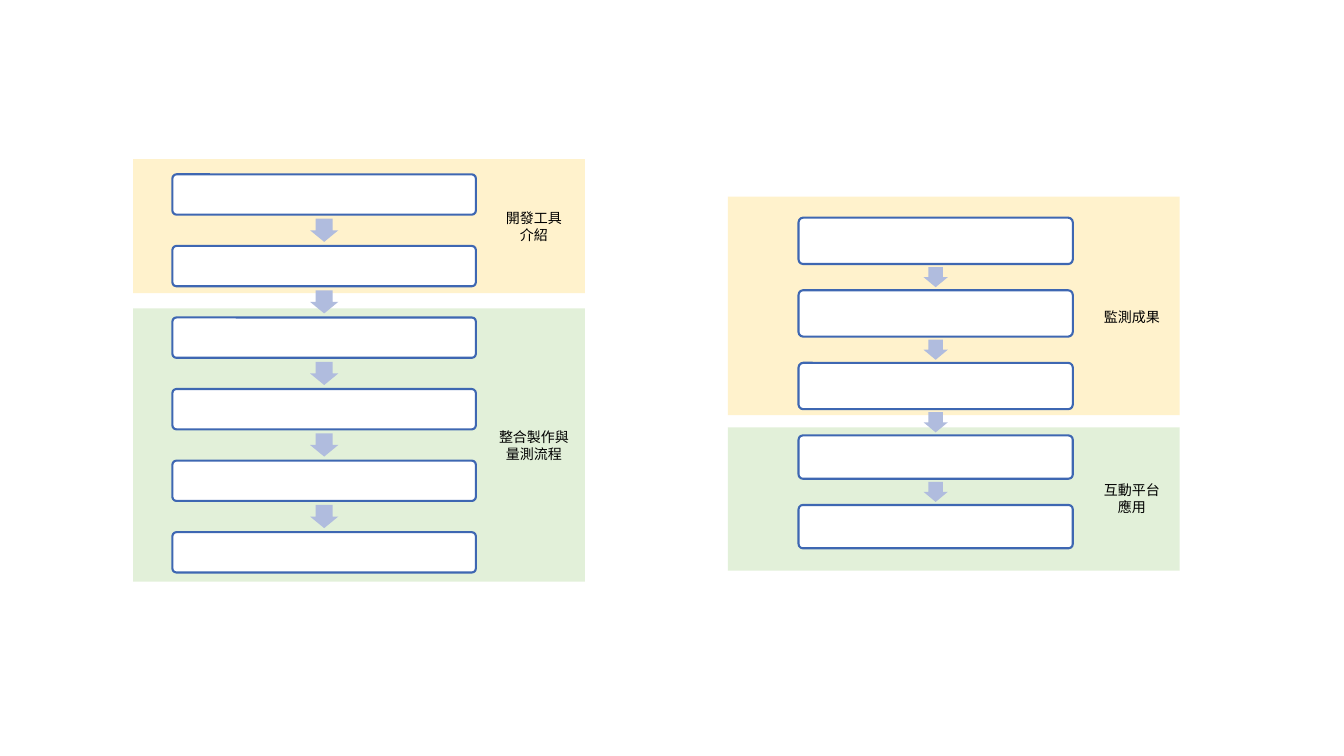
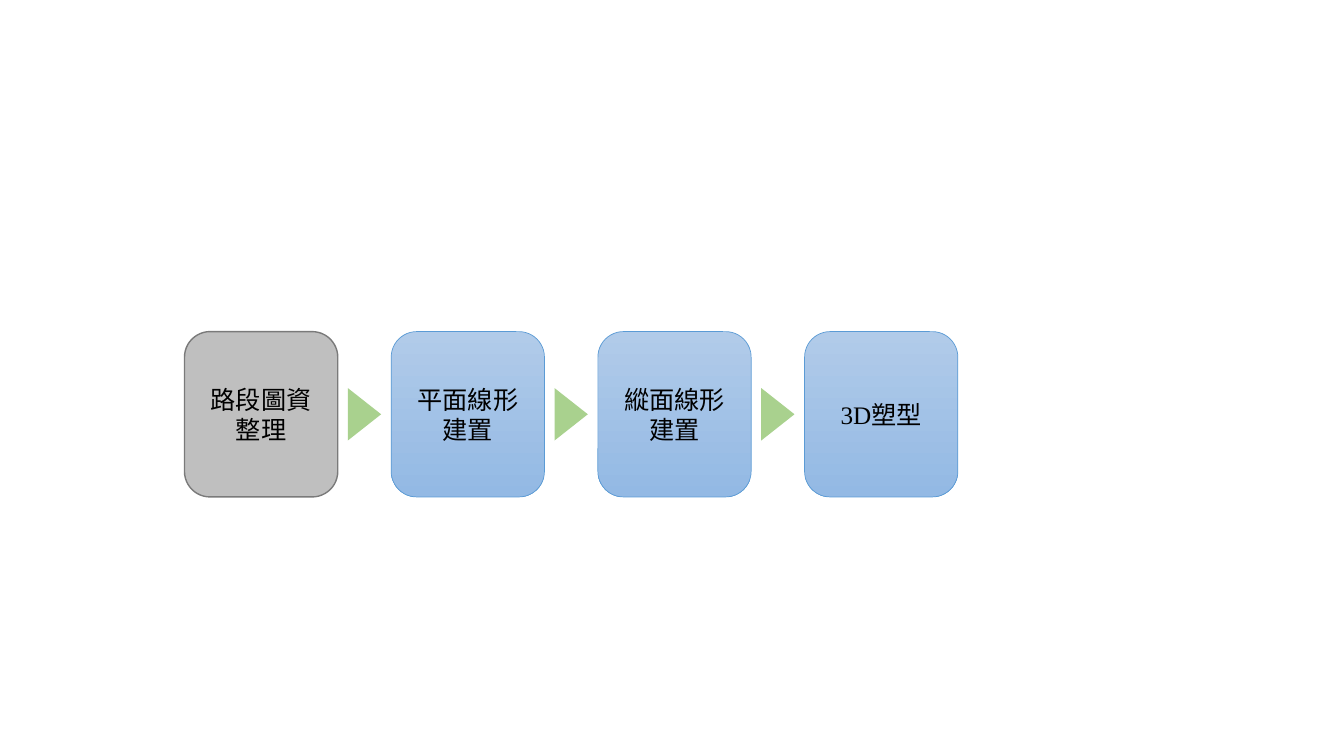
from pptx import Presentation
from pptx.dml.color import RGBColor
from pptx.enum.shapes import MSO_SHAPE as Kind
from pptx.enum.text import MSO_ANCHOR, PP_ALIGN
from pptx.oxml import parse_xml
from pptx.oxml.ns import nsdecls
from pptx.util import Inches, Pt

CJK, LATIN = "Noto Sans CJK SC", "Times New Roman"
BLACK = RGBColor(0x00, 0x00, 0x00)
WHITE = RGBColor(0xFF, 0xFF, 0xFF)
CREAM = RGBColor(0xFF, 0xF2, 0xCC)
MINT = RGBColor(0xE2, 0xF0, 0xD9)
NAVY = RGBColor(0x3E, 0x67, 0xB2)
LILAC = RGBColor(0xB0, 0xBC, 0xDE)
GREY = RGBColor(0xBF, 0xBF, 0xBF)
SLATE = RGBColor(0x7A, 0x7A, 0x7A)
SKY = RGBColor(0xB1, 0xCB, 0xE9)
AZURE = RGBColor(0x93, 0xB9, 0xE4)
BLUE = RGBColor(0x5B, 0x9B, 0xD5)
GREEN = RGBColor(0xA9, 0xD1, 0x8E)

# left, top, width, height, fill
BANDS = [
    (1.32, 3.06, 4.48, 2.71, MINT),
    (1.32, 1.58, 4.48, 1.33, CREAM),
    (7.22, 4.24, 4.48, 1.42, MINT),
    (7.22, 1.95, 4.48, 2.17, CREAM),
]
# text, left, top, width, height
LABELS = [
    ("開發工具介紹", 4.9, 2.03, 0.79, 0.44),
    ("整合製作與量測流程", 4.79, 4.2, 1.01, 0.44),
    ("監測成果", 10.83, 3.01, 0.79, 0.27),
    ("互動平台應用", 10.83, 4.73, 0.79, 0.44),
]
# left, top, width, gap, box heights, arrow length and breadth
FLOWS = [
    (1.71, 1.73, 3.01, 0.31, [0.4] * 6, (0.23, 0.28)),
    (7.92, 2.16, 2.72, 0.26, [0.46] * 3 + [0.43] * 2, (0.2, 0.24)),
]
# runs of each step: text, font
STEPS = [
    [("路段圖資整理", CJK)],
    [("平面線形建置", CJK)],
    [("縱面線形建置", CJK)],
    [("3D", LATIN), ("塑型", CJK)],
]
STEP_X, STEP_Y, STEP_W, STEP_H, PITCH = 1.83, 3.29, 1.52, 1.64, 2.05
TIP_W, TIP_H = 0.52, 0.33


def set_face(font, name):
    """Set the font for both Latin and East Asian text."""
    font.name = name
    xml = f'<a:ea {nsdecls("a")} typeface="{name}"/>'
    font._element.find("{*}latin").addnext(parse_xml(xml))


def add_part(slide, kind, x, y, w, h, fill, line=None, width=1):
    part = slide.shapes.add_shape(kind, Inches(x), Inches(y), Inches(w), Inches(h))
    part.shadow.inherit = False
    if isinstance(fill, tuple) and not isinstance(fill, RGBColor):
        part.fill.gradient()
        part.fill.gradient_angle = 270
        for stop, tint in zip(part.fill.gradient_stops, fill):
            stop.color.rgb = tint
    else:
        part.fill.solid()
        part.fill.fore_color.rgb = fill
    if line is None:
        part.line.fill.background()
    else:
        part.line.color.rgb = line
        part.line.width = Pt(width)
    return part


def add_turned(slide, kind, mid_x, mid_y, w, h, fill):
    """Add a shape turned a quarter clockwise about its centre."""
    part = add_part(slide, kind, mid_x - w / 2, mid_y - h / 2, w, h, fill)
    part.rotation = 90
    return part


def write(frame, runs, size):
    frame.word_wrap = True
    para = frame.paragraphs[0]
    para.alignment = PP_ALIGN.CENTER
    para.font.size = Pt(size)
    para.font.color.rgb = BLACK
    if len(runs) == 1:
        set_face(para.font, runs[0][1])
    for text, face in runs:
        run = para.add_run()
        run.text = text
        if len(runs) > 1:
            set_face(run.font, face)
            run.font.color.rgb = BLACK


def add_flow(slide, x, y, w, gap, heights, arrow):
    for i, h in enumerate(heights):
        box = add_part(slide, Kind.ROUNDED_RECTANGLE, x, y, w, h, WHITE, NAVY, 1.5)
        box.adjustments[0] = 0.1
        if i < len(heights) - 1:
            part = add_turned(slide, Kind.RIGHT_ARROW, x + w / 2, y + h + gap / 2,
                              *arrow, LILAC)
            part.adjustments[0] = 0.6
        y += h + gap


def build_flows(slide):
    for band in BANDS:
        add_part(slide, Kind.RECTANGLE, *band)
    for flow in FLOWS:
        add_flow(slide, *flow)
    for text, *place in LABELS:
        box = slide.shapes.add_textbox(*map(Inches, place))
        write(box.text_frame, [(text, CJK)], 10)


def build_steps(slide):
    for i, runs in enumerate(STEPS):
        x = STEP_X + i * PITCH
        look = ((SKY, AZURE), BLUE, 0.5) if i else (GREY, SLATE, 1)
        box = add_part(slide, Kind.ROUNDED_RECTANGLE, x, STEP_Y, STEP_W, STEP_H, *look)
        box.text_frame.vertical_anchor = MSO_ANCHOR.MIDDLE
        write(box.text_frame, runs, 18)
        if i:
            add_turned(slide, Kind.FLOWCHART_EXTRACT, x - (PITCH - STEP_W) / 2,
                       STEP_Y + STEP_H / 2, TIP_W, TIP_H, GREEN)


def main():
    deck = Presentation()
    deck.slide_width, deck.slide_height = Inches(13.33), Inches(7.5)
    for build in (build_flows, build_steps):
        build(deck.slides.add_slide(deck.slide_layouts[6]))
    deck.save("out.pptx")


if __name__ == "__main__":
    main()
